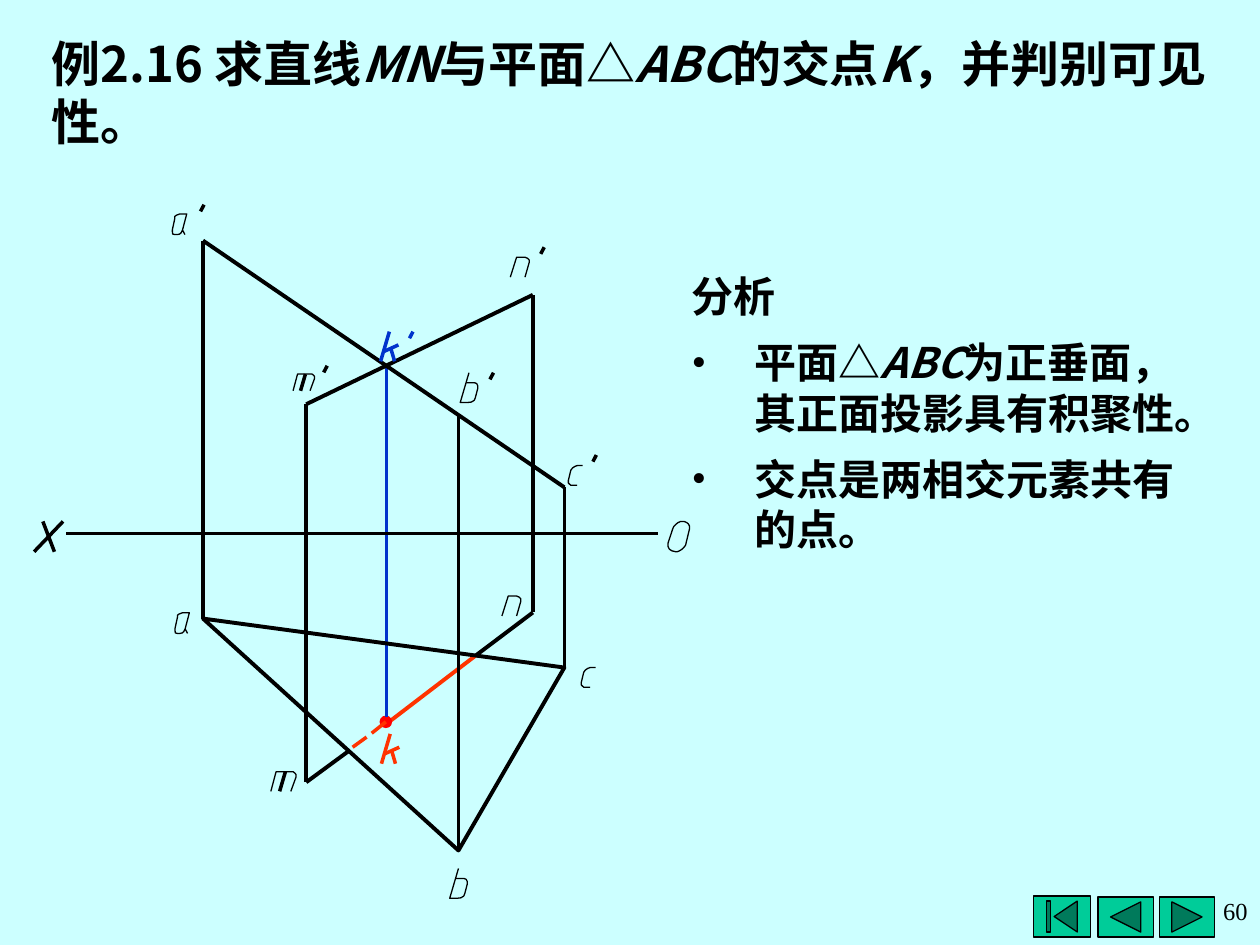
from lxml.etree import SubElement
from pptx import Presentation
from pptx.dml.color import RGBColor
from pptx.enum.shapes import MSO_CONNECTOR, MSO_SHAPE
from pptx.enum.text import MSO_ANCHOR, MSO_AUTO_SIZE, PP_ALIGN
from pptx.oxml.ns import qn
from pptx.util import Pt

COLORS = {name: RGBColor.from_string(value) for name, value in {
    "background": "CCFFFF", "black": "000000", "blue": "0033CC",
    "orange": "FF3300", "red": "FF0000", "button": "00CC99"}.items()}
CJK_FONT = "Noto Sans CJK SC"
HAIR, BOLD = 0, 2.25

prs = Presentation()
prs.slide_width, prs.slide_height = Pt(720), Pt(540)
slide = prs.slides.add_slide(prs.slide_layouts[1])
slide.background.fill.solid()
slide.background.fill.fore_color.rgb = COLORS["background"]


def stroke(points, color="black", width=HAIR):
    """Draw a line through points given in pt; a closed list ends where it starts."""
    corners = [(Pt(x), Pt(y)) for x, y in points]
    if len(corners) == 2:
        path = slide.shapes.add_connector(MSO_CONNECTOR.STRAIGHT, *corners[0], *corners[1])
        SubElement(path._element.spPr, qn("a:effectLst"))
    else:
        builder = slide.shapes.build_freeform(*corners[0], scale=1.0)
        builder.add_line_segments(corners[1:], close=corners[0] == corners[-1])
        path = builder.convert_to_shape()
        path.fill.background()
        path.shadow.inherit = False
    path.line.color.rgb = COLORS[color]
    path.line.width = Pt(width)


def write(paragraph, pieces, size):
    """Fill a paragraph with bold text; every second piece is italic."""
    for index, piece in enumerate(pieces):
        run = paragraph.add_run()
        run.text = piece
        if index % 2:
            run.font.italic = True
    paragraph.alignment = PP_ALIGN.LEFT
    paragraph.space_before = Pt(0)
    font = paragraph.font
    font.size, font.bold, font.name = Pt(size), True, CJK_FONT
    font.color.rgb = COLORS["black"]
    SubElement(paragraph._p.pPr.find(qn("a:defRPr")), qn("a:ea"), typeface=CJK_FONT)


# Navigation buttons
for button, left, top, width, height in (
        (MSO_SHAPE.ACTION_BUTTON_FORWARD_OR_NEXT, 662.5, 512.5, 31.5, 23),
        (MSO_SHAPE.ACTION_BUTTON_BACK_OR_PREVIOUS, 627.5, 512.5, 31.5, 23),
        (MSO_SHAPE.ACTION_BUTTON_BEGINNING, 590.5, 512, 32.5, 23.5)):
    nav = slide.shapes.add_shape(button, Pt(left), Pt(top), Pt(width), Pt(height))
    nav.shadow.inherit = False
    nav.fill.solid()
    nav.fill.fore_color.rgb = COLORS["button"]
    nav.line.color.rgb = COLORS["black"]
    nav.line.width = Pt(0.75)

# Title
title = slide.shapes.title
title.left, title.top, title.width, title.height = Pt(22.5), Pt(15), Pt(677.5), Pt(75)
title.text_frame.auto_size = MSO_AUTO_SIZE.NONE
title.text_frame.vertical_anchor = MSO_ANCHOR.MIDDLE
write(title.text_frame.paragraphs[0],
      ["例2.16 求直线", "MN", "与平面△", "ABC", "的交点", "K", "，并判别可见性。"], 28)

# Analysis
analysis = slide.placeholders[1]
analysis.left, analysis.top, analysis.width, analysis.height = Pt(388), Pt(151), Pt(312), Pt(169)
analysis_frame = analysis.text_frame
analysis_frame.auto_size = MSO_AUTO_SIZE.NONE
for index, pieces in enumerate((
        ["分析"],
        ["平面△", "ABC", "为正垂面，其正面投影具有积聚性。"],
        ["交点是两相交元素共有的点。"])):
    paragraph = analysis_frame.add_paragraph() if index else analysis_frame.paragraphs[0]
    properties = paragraph._p.get_or_add_pPr()
    properties.set("marL", str(Pt(36)))
    properties.set("indent", str(Pt(-36)))
    paragraph.space_before = Pt(0)
    paragraph.space_after = Pt(9)
    if index:
        SubElement(properties, qn("a:buFont"), typeface="Times New Roman")
        SubElement(properties, qn("a:buChar"), char="•")
    else:
        SubElement(properties, qn("a:buNone"))
    write(paragraph, pieces, 24)

# Points of the two views
a1, b1, c1 = (116, 137.5), (262, 237), (322.5, 278.5)
m1, n1, k1 = (175, 231), (304.5, 168.5), (221, 209)
a, b, c = (116, 353.5), (262, 486), (322.5, 381.5)
m, n, k = (175, 447), (304.5, 350), (220.5, 412.5)
edge_ab, edge_ac = (199.5, 429), (272, 374.5)

# Intersection point K and the line inside the triangle
stroke([(223, 412), edge_ac], "orange", BOLD)
dot = slide.shapes.add_shape(MSO_SHAPE.OVAL, Pt(k[0] - 3.2), Pt(k[1] - 3.2), Pt(6.4), Pt(6.4))
dot.shadow.inherit = False
dot.fill.solid()
dot.fill.fore_color.rgb = COLORS["red"]
dot.line.color.rgb = COLORS["red"]
dot.line.width = Pt(HAIR)
stroke([(201.5, 427), (209.5, 421.2)], "orange")
stroke([(212.4, 419), k], "orange")
stroke([k1, (221, 409.5)], "blue")

# Axis, projections and projectors
stroke([(38, 305), (376, 305)])
for segment in ([a1, c1], [m1, n1], [a, b, c, a], [m, edge_ab], [edge_ac, n]):
    stroke(segment, width=BOLD)
for projector in ([a, a1], [b, b1], [c, c1], [m, m1], [n, n1]):
    stroke(projector)

# Stroke lettering, in pt from the top left of each letter
GLYPHS = {
    "a": [[(7.2, 11.8), (5.8, 9.2), (8.2, 0), (4.2, 0), (2.4, 0.7), (1.4, 1.4), (1.4, 2.6),
           (0, 9), (0, 10.2), (0.2, 11.5), (1.4, 11.8), (2.8, 11.8), (4.2, 11.5),
           (5, 10.8), (5.8, 9.2)]],
    "b": [[(5, 0), (0, 17), (4.4, 17), (6.4, 16.8), (8, 15.8), (8.6, 14.4), (10, 9),
           (10, 7.5), (9.4, 6.2), (8.3, 5.8), (3.6, 5.8)]],
    "c": [[(8.2, 0), (5.2, 0), (3.8, 0.5), (2.4, 1.4), (1.4, 2.7), (0, 8.4), (0, 10),
           (0.6, 10.6), (1.4, 11.3), (5, 11.3)]],
    "k": [[(0, 17), (5, 0)], [(10.2, 7.6), (2.2, 11.2)], [(5.8, 9.5), (8, 17)]],
    "m": [[(11.4, 11.2), (14.4, 3), (14.4, 1.6), (13.8, 0.8), (12.8, 0), (3, 0), (0, 11.2)],
          [(5, 11.2), (8.3, 0)]],
    "n": [[(0, 11.4), (3.6, 0), (8.4, 0), (9.8, 0.6), (10.8, 1.6), (10.8, 3), (8.4, 11.4)]],
    "O": [[(4.3, 17.3), (5.3, 17.3), (6.5, 16.8), (7.8, 16), (8.9, 15), (10, 13.6), (12.2, 4.4),
           (12.2, 2.6), (11.6, 1.4), (10.6, 0.6), (9.2, 0), (7.2, 0), (5.8, 0.6), (4.5, 1.6),
           (3.2, 3), (2.6, 4.4), (0, 12.3), (0, 14.4), (0.7, 15.8), (2.2, 16.8), (4.3, 17.3)]],
    "X": [[(5, 0), (11.6, 17.3)], [(16.5, 0), (0, 17.3)]],
    "′": [[(0, 3.8), (2, 0)]],
}
for letter, left, top, scale, color in (
        ("X", 19.5, 298, 1, "black"), ("O", 381.8, 298, 1, "black"),
        ("a", 98.5, 122.3, 1, "black"), ("′", 114.6, 117, 1, "black"),
        ("b", 263, 213, 1, "black"), ("′", 280, 213, 1, "black"),
        ("c", 324.8, 266, 1, "black"), ("′", 338.8, 260, 1, "black"),
        ("k", 217.5, 189.5, 1, "blue"), ("′", 234, 189.5, 1, "blue"),
        ("m", 167.5, 213.8, 0.85, "black"), ("′", 185, 209, 1, "black"),
        ("n", 291.6, 147, 1, "black"), ("′", 309, 141.3, 1, "black"),
        ("a", 100, 350.2, 1, "black"), ("b", 257, 496.3, 1, "black"),
        ("c", 332.2, 381.4, 1, "black"), ("k", 218, 419.4, 1, "orange"),
        ("m", 154.8, 441, 1, "black"), ("n", 286.8, 340.6, 1, "black")):
    for glyph_part in GLYPHS[letter]:
        stroke([(left + x * scale, top + y * scale) for x, y in glyph_part], color)

# Page number
page_number = slide.shapes.add_textbox(Pt(538.5), Pt(506), Pt(181.5), Pt(44))
page_number.text_frame.word_wrap = True
number = page_number.text_frame.paragraphs[0]
number.text = "60"
number.alignment = PP_ALIGN.RIGHT
number.font.size, number.font.name = Pt(14), "Times New Roman"
number.font.color.rgb = COLORS["black"]
page_number.text_frame.margin_top = Pt(4 + 2)

prs.save("out.pptx")
